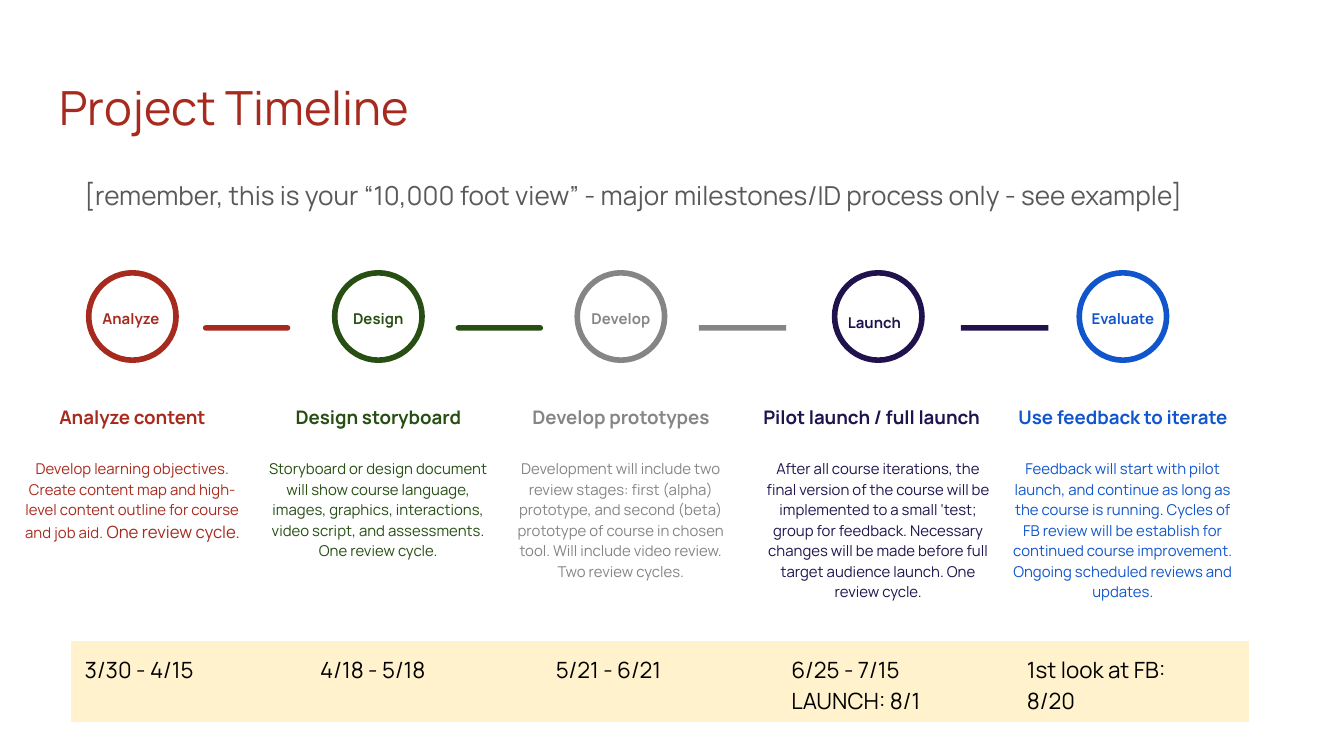
from pptx import Presentation
from pptx.dml.color import RGBColor
from pptx.enum.shapes import MSO_SHAPE
from pptx.enum.text import MSO_ANCHOR, PP_ALIGN
from pptx.util import Inches, Pt

ELLIPSE, BAR = MSO_SHAPE.OVAL, MSO_SHAPE.ROUNDED_RECTANGLE
TOP, BOTTOM = MSO_ANCHOR.TOP, MSO_ANCHOR.BOTTOM
LEFT, CENTER = PP_ALIGN.LEFT, PP_ALIGN.CENTER

WIDTH = 10
HEIGHT = WIDTH * 9 / 16
COLUMNS = 100
CELL = WIDTH / COLUMNS
FONT = "Manrope"
NO_STYLE = "{2D5ABB26-0587-4C30-8999-92F81FD0307C}"
CIRCLE = 6.5
BAR_HEIGHT = 0.4

STAGES = [
    {"name": "Analyze ", "color": "A72A1E", "center": 9.85,
     "label": (6.4, 22.1, 6.9, 3.7), "heading_width": 18.7,
     "body_width": 19.2, "bar": 15.1, "round": 0.5,
     "heading": "Analyze content",
     "body": [("Develop learning objectives. Create content map and high-level "
               "content outline for course and job aid.", 8),
              (" One review cycle.", 9)]},
    {"name": "Design", "color": "274E13", "center": 28.15,
     "label": (25.1, 22.1, 6.1, 4.9), "heading_width": 18.7,
     "body_width": 18.7, "bar": 33.9, "round": 0.5,
     "heading": "Design storyboard",
     "body": [("Storyboard or design document will show course language, images, "
               "graphics, interactions, video script, and assessments. "
               "One review cycle.", 8)]},
    {"name": "Develop", "color": "858585", "center": 46.2,
     "label": (42.4, 22.1, 7.6, 4.9), "heading_width": 18.7,
     "body_width": 18.7, "bar": 52, "round": 0,
     "heading": "Develop prototypes",
     "body": [("Development will include two review stages: first (alpha) "
               "prototype, and second (beta) prototype of course in chosen tool. "
               "Will include video review. Two review cycles.", 8)]},
    {"name": "Launch", "color": "20124D", "center": 65.35,
     "label": (62.1, 22.35, 8.5, 5.7), "align": LEFT, "heading_width": 19.7,
     "heading_center": 64.85, "body_width": 18.7, "bar": 71.5, "round": 0,
     "heading": "Pilot launch / full launch",
     "body": [("After all course iterations, the final version of the course will "
               "be implemented to a small ‘test; group for feedback. Necessary "
               "changes will be made before full target audience launch. "
               "One review cycle.", 8)]},
    {"name": "Evaluate", "color": "1155CC", "center": 83.55,
     "label": (79.4, 22.1, 8.3, 4.9), "heading_width": 18.7,
     "body_width": 18.7,
     "heading": "Use feedback to iterate",
     "body": [("Feedback will start with pilot launch, and continue as long as the "
               "course is running. Cycles of FB review will be establish for "
               "continued course improvement. Ongoing scheduled reviews and "
               "updates.", 8)]},
]

DATES = [["3/30 - 4/15"], ["4/18 - 5/18"], ["5/21 - 6/21"],
         ["6/25 - 7/15", "LAUNCH: 8/1"], ["1st look at FB:", "8/20"]]


def rgb(value):
    return RGBColor.from_string(value)


def grid(*cells):
    return [Inches(cell * CELL) for cell in cells]


def set_all(target, formats):
    for name, value in formats.items():
        setattr(target, name, value)


def set_margins(target):
    margin = Inches(0.1)
    set_all(target, {f"margin_{side}": margin
                     for side in ("left", "right", "top", "bottom")})


def add_run(p, text, size, color, bold=False):
    r = p.add_run()
    r.text = text
    set_all(r.font, {"name": FONT, "size": Pt(size), "bold": bold})
    r.font.color.rgb = rgb(color)


def add_text(shapes, box, runs, color, bold=False, align=CENTER, anchor=TOP,
             spacing=1.15):
    tf = shapes.add_textbox(*grid(*box)).text_frame
    set_all(tf, {"word_wrap": True, "vertical_anchor": anchor})
    set_margins(tf)
    p = tf.paragraphs[0]
    set_all(p, {"alignment": align, "line_spacing": spacing})
    for text, size in runs:
        add_run(p, text, size, color, bold)


def add_circle(shapes, center, color):
    sp = shapes.add_shape(
        ELLIPSE, *grid(center - CIRCLE / 2, 20.3, CIRCLE, CIRCLE))
    sp.shadow.inherit = False
    sp.fill.background()
    sp.line.color.rgb = rgb(color)
    sp.line.width = Pt(3)


def add_bar(shapes, left, rounding, color):
    sp = shapes.add_shape(BAR, *grid(left, 24.2, CIRCLE, BAR_HEIGHT))
    sp.shadow.inherit = False
    sp.adjustments[0] = rounding
    sp.fill.solid()
    sp.fill.fore_color.rgb = rgb(color)
    sp.line.fill.background()


def add_stage(s, stage):
    color, center = stage["color"], stage["center"]
    shapes = s.shapes.add_group_shape().shapes
    add_circle(shapes, center, color)
    add_text(shapes, stage["label"], [(stage["name"], 8)], color, bold=True,
             align=stage.get("align", CENTER))
    width = stage["heading_width"]
    left = stage.get("heading_center", center) - width / 2
    add_text(shapes, (left, 27.95, width, 4.9), [(stage["heading"], 10)], color,
             bold=True, anchor=BOTTOM)
    width = stage["body_width"]
    add_text(shapes, (center - width / 2, 33, width, 8.1), stage["body"], color)
    if "bar" in stage:
        add_bar(s.shapes, stage["bar"], stage["round"], color)


def add_dates(s, box):
    table = s.shapes.add_table(1, len(DATES), *grid(*box)).table
    set_all(table, {"first_row": False, "horz_banding": False})
    table._tbl.tblPr[0].text = NO_STYLE
    for cell, lines in zip(table.rows[0].cells, DATES):
        set_margins(cell)
        cell.fill.solid()
        cell.fill.fore_color.rgb = rgb("FFF2CC")
        tf = cell.text_frame
        for i, line in enumerate(lines):
            p = tf.add_paragraph() if i else tf.paragraphs[0]
            add_run(p, line, 12, "000000")


def main():
    prs = Presentation()
    set_all(prs, {"slide_width": Inches(WIDTH), "slide_height": Inches(HEIGHT)})
    s = prs.slides.add_slide(prs.slide_layouts[6])
    add_text(s.shapes, (3.45, 4.85, 93.2, 6.3), [("Project Timeline", 25.2)],
             "A72A1E", align=LEFT, spacing=1.0)
    add_text(s.shapes, (5.3, 12, 95.9, 37.4),
             [("[remember, this is your “10,000 foot view” - major "
               "milestones/ID process only - see example]", 14)],
             "595959", align=LEFT)
    for stage in STAGES:
        add_stage(s, stage)
    add_dates(s, (5.3, 47.7, 87.65, 4.3))
    prs.save("out.pptx")


if __name__ == "__main__":
    main()
